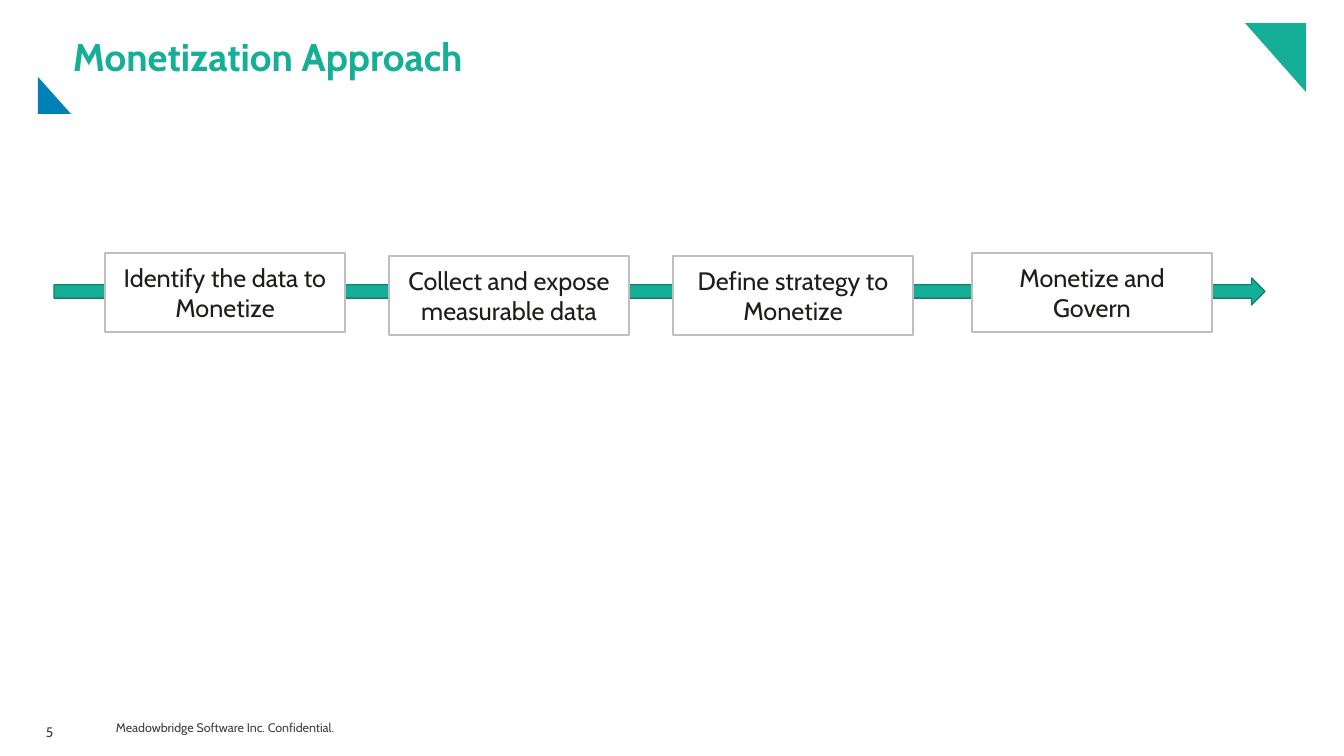
from dataclasses import dataclass

from pptx import Presentation
from pptx.dml.color import RGBColor
from pptx.enum.shapes import MSO_SHAPE
from pptx.enum.text import MSO_ANCHOR, MSO_AUTO_SIZE, PP_ALIGN
from pptx.util import Pt

RECTANGLE, RIGHT_ARROW = MSO_SHAPE.RECTANGLE, MSO_SHAPE.RIGHT_ARROW
MIDDLE, TOP = MSO_ANCHOR.MIDDLE, MSO_ANCHOR.TOP
LEFT, CENTER = PP_ALIGN.LEFT, PP_ALIGN.CENTER
NO_RESIZE = MSO_AUTO_SIZE.NONE

TITLE = "Monetization Approach"
STEPS = [
    ("Identify the data to Monetize", 105, 253),
    ("Collect and expose measurable data", 389, 256),
    ("Define strategy to Monetize", 673, 256),
    ("Monetize and Govern", 972, 253),
]
FOOTER = "Meadowbridge Software Inc. Confidential."
SLIDE_NUMBER = "5"
CORNERS = [
    ("green", [(1245, 23), (1306, 23), (1306, 92)]),
    ("blue", [(71, 114), (38, 114), (38, 77)]),
]

SLIDE_SIZE = (1344, 756)
TITLE_BOX = (73, 38, 1202, 42)
ARROW_BOX = (54, 278, 1211, 27)
STEP_SIZE = (240, 79)
FOOTER_BOX = (106, 711, 275, 34)
NUMBER_BOX = (36, 712, 37, 31)
EMU_PER_PX = 914400 / 100.8


@dataclass(frozen=True)
class Theme:
    font: str = "Cabin"
    green: str = "15AF97"
    green_line: str = "108170"
    blue: str = "0080B7"
    white: str = "FFFFFF"
    border: str = "BFBFBF"
    ink: str = "1D1D1B"
    muted: str = "404040"
    title_size: float = 27.6
    step_size: float = 18
    footer_size: float = 8.9
    number_size: float = 9.9


theme = Theme()


def px(length):
    return round(length * EMU_PER_PX)


def box_emu(box):
    return [px(length) for length in box]


def rgb(color):
    return RGBColor.from_string(color)


def apply(target, values):
    for name, value in values.items():
        setattr(target, name, value)


def write(shape, text, size, color, bold=False, frame_format=None, paragraph_format=None):
    frame = shape.text_frame
    frame.text = text
    apply(frame, {"word_wrap": True, "auto_size": NO_RESIZE,
                  "vertical_anchor": MIDDLE, **(frame_format or {})})
    paragraph = frame.paragraphs[0]
    apply(paragraph, {"alignment": LEFT, **(paragraph_format or {})})
    font = paragraph.runs[0].font
    apply(font, {"name": theme.font, "size": Pt(size), "bold": bold})
    font.color.rgb = rgb(color)


def paint(shape, fill, line=None):
    shape.shadow.inherit = False
    shape.fill.solid()
    shape.fill.fore_color.rgb = rgb(fill)
    if line:
        shape.line.color.rgb = rgb(line)
        shape.line.width = Pt(1)
    else:
        shape.line.fill.background()


def add_corner(slide, color, points):
    builder = slide.shapes.build_freeform(*points[0], scale=EMU_PER_PX)
    builder.add_line_segments(points[1:], close=True)
    paint(builder.convert_to_shape(), color)


def add_title(slide):
    title = slide.shapes.title
    apply(title, dict(zip(("left", "top", "width", "height"), box_emu(TITLE_BOX))))
    margins = {f"margin_{side}": 0 for side in ("left", "top", "right", "bottom")}
    write(title, TITLE, theme.title_size, theme.green, True, margins,
          {"line_spacing": 0.9})


def add_step(slide, text, left, top):
    step = slide.shapes.add_shape(RECTANGLE, *box_emu((left, top, *STEP_SIZE)))
    paint(step, theme.white, theme.border)
    write(step, text, theme.step_size, theme.ink, paragraph_format={"alignment": CENTER})


def add_footer(slide):
    footer = slide.shapes.add_textbox(*box_emu(FOOTER_BOX))
    write(footer, FOOTER, theme.footer_size, theme.muted)
    number = slide.shapes.add_textbox(*box_emu(NUMBER_BOX))
    write(number, SLIDE_NUMBER, theme.number_size, theme.muted,
          frame_format={"vertical_anchor": TOP},
          paragraph_format={"line_spacing": Pt(16.8), "space_after": Pt(2)})


def main():
    presentation = Presentation()
    presentation.slide_width, presentation.slide_height = box_emu(SLIDE_SIZE)
    slide = presentation.slides.add_slide(presentation.slide_layouts[5])
    add_footer(slide)
    for color, points in CORNERS:
        add_corner(slide, getattr(theme, color), points)
    arrow = slide.shapes.add_shape(RIGHT_ARROW, *box_emu(ARROW_BOX))
    paint(arrow, theme.green, theme.green_line)
    add_title(slide)
    for step in STEPS:
        add_step(slide, *step)
    presentation.save("out.pptx")


if __name__ == "__main__":
    main()
